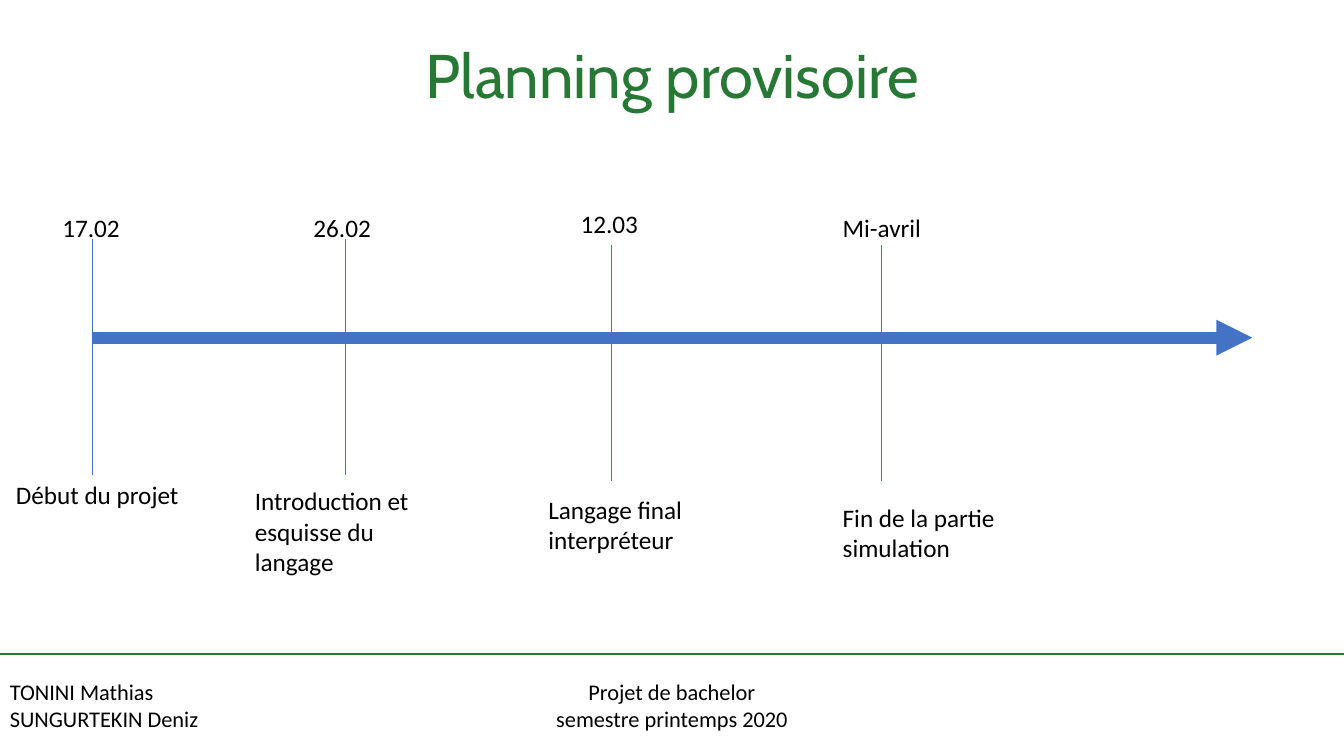
from dataclasses import dataclass

from lxml import etree
from pptx import Presentation
from pptx.dml.color import RGBColor
from pptx.enum import shapes, text
from pptx.oxml.ns import qn
from pptx.util import Inches, Pt


@dataclass(frozen=True)
class Theme:
    green: str = "267834"
    blue: str = "4472C4"
    black: str = "000000"
    heading_font: str = "Cabin"
    body_font: str = "Calibri"
    title_size: int = 44
    body_size: int = 18
    footer_size: int = 16


theme = Theme()
deck = Presentation()
deck.slide_width, deck.slide_height = Inches(13.33), Inches(7.5)
page = deck.slides.add_slide(deck.slide_layouts[6])


def add_text(place, wording, size=theme.body_size, font=theme.body_font,
             color=theme.black, align=text.PP_ALIGN.LEFT):
    """Add a wrapping text box; a newline starts a paragraph, \\v breaks a line."""
    box = page.shapes.add_textbox(*map(Inches, place))
    frame = box.text_frame
    frame.word_wrap = True
    frame.text = wording
    for para in frame.paragraphs:
        para.alignment = align
        para.font.size = Pt(size)
        para.font.name = font
        para.font.color.rgb = RGBColor.from_string(color)
    return box


def add_line(start, end, color, width):
    line = page.shapes.add_connector(
        shapes.MSO_CONNECTOR.STRAIGHT, *map(Inches, start + end))
    line.line.color.rgb = RGBColor.from_string(color)
    line.line.width = Pt(width)
    etree.SubElement(line._element.spPr, qn("a:effectLst"))
    return line


# Footer
add_text((0, 6.68, 4, 0.64), "TONINI Mathias\vSUNGURTEKIN Deniz", theme.footer_size)
add_text((5.25, 6.68, 2.83, 0.64), "Projet de bachelor\vsemestre printemps 2020",
         theme.footer_size, align=text.PP_ALIGN.CENTER)
add_line((13.33, 6.49), (0, 6.49), theme.green, 1.5)

# Title
title = add_text((0.92, 0.4, 11.5, 1.45), "Planning provisoire", theme.title_size,
                 theme.heading_font, theme.green, text.PP_ALIGN.CENTER)
title.text_frame.paragraphs[0].line_spacing = 0.9

# Time axis
axis = add_line((0.92, 3.35), (12.42, 3.35), theme.blue, 8.5)
etree.SubElement(axis.line._get_or_add_ln(), qn("a:tailEnd"), type="triangle")

# Milestones: marker x and top, date and its box, step and its box
marker_height = 2.34
milestones = [
    (0.92, 2.37, "17.02", (0.52, 2.06, 0.8, 0.4),
     "Début du projet", (0.06, 4.71, 2.02, 0.4)),
    (3.43, 2.37, "26.02", (3.01, 2.06, 1.15, 0.4),
     "Introduction et\nesquisse du langage", (2.43, 4.77, 1.77, 1.01)),
    (6.06, 2.43, "12.03", (5.66, 2.02, 1.15, 0.4),
     "Langage final\ninterpréteur", (5.34, 4.85, 1.59, 0.71)),
    (8.74, 2.43, "Mi-avril", (8.26, 2.06, 1.3, 0.4),
     "Fin de la partie simulation", (8.26, 4.93, 1.84, 0.71)),
]
for x, top, date, date_place, step, step_place in milestones:
    add_line((x, top), (x, top + marker_height), theme.blue, 0.5)
    add_text(date_place, date)
    add_text(step_place, step)

deck.save("out.pptx")
